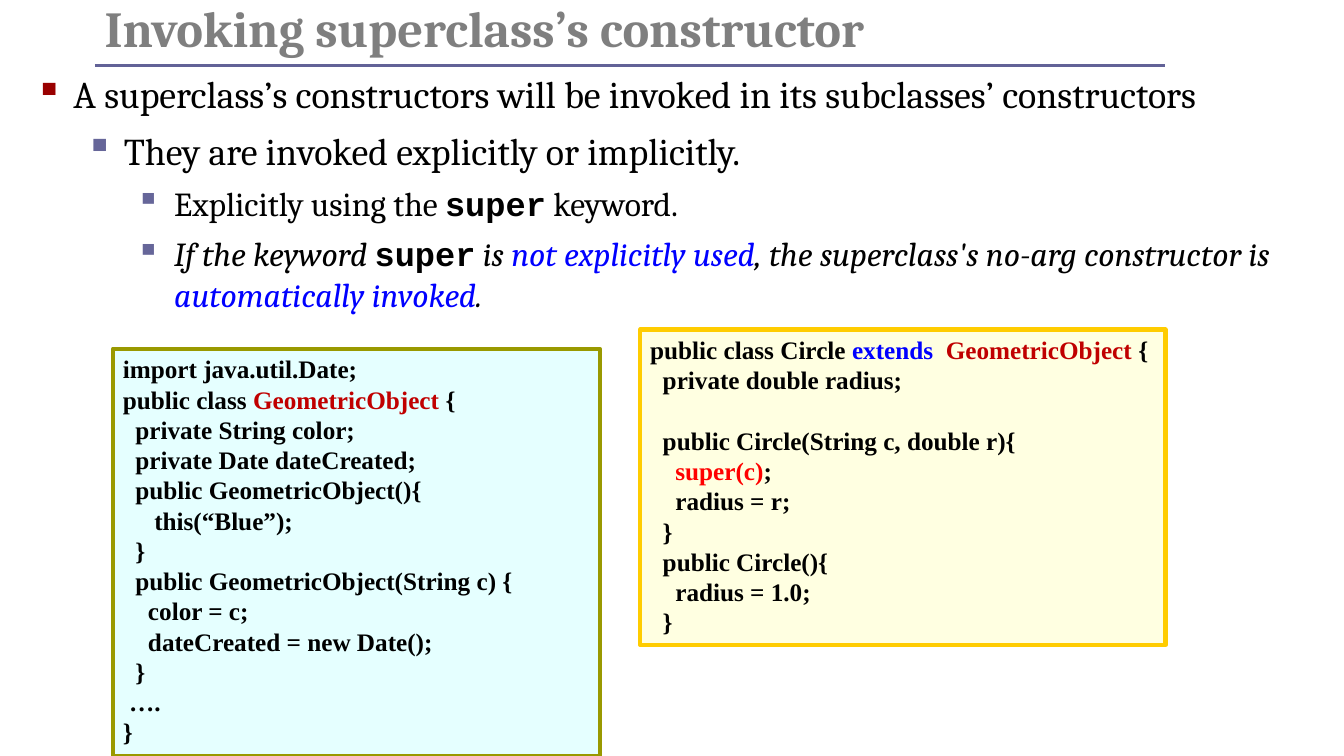
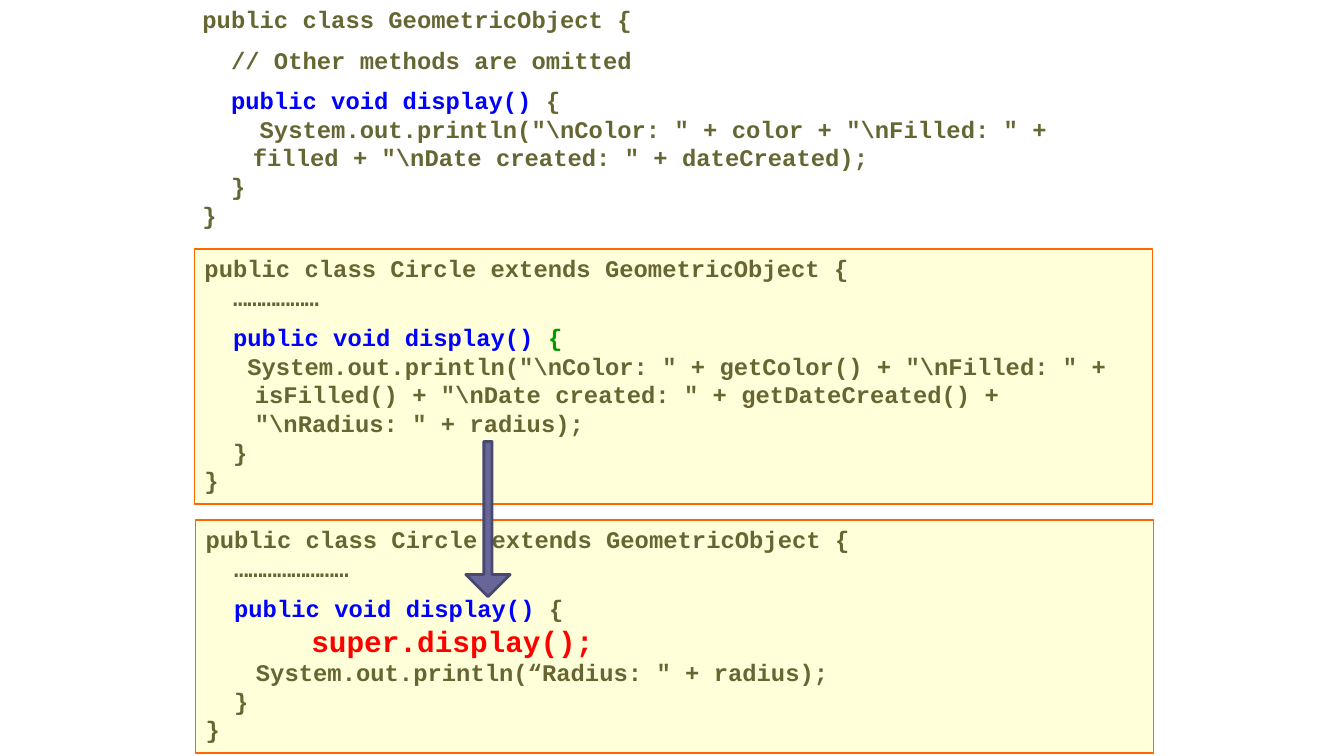
from lxml import etree
from pptx import Presentation
from pptx import util as u
from pptx.dml.color import RGBColor
from pptx.enum import shapes, text
from pptx.oxml.ns import qn

COLORS = {
    "black": "000000", "white": "FFFFFF", "title": "7F7F7F", "rule": "626297",
    "bullet_top": "990000", "bullet_sub": "666699", "blue": "0000FF",
    "crimson": "C00000", "red": "FF0000", "green": "009900", "olive": "666633",
    "mint": "E5FFFF", "moss": "999900", "ivory": "FFFFE1", "gold": "FFCC00",
    "cream": "FFFFD9", "orange": "FF6600", "arrow": "666699", "arrow_edge": "49496F",
}
TITLE = {"name": "Cambria", "size": 36, "bold": True, "color": "title"}
BODY = {"name": "Cambria", "size": 27, "bold": False, "color": "black"}
DETAIL = {**BODY, "size": 24}
KEYWORD = {"name": "Courier New", "bold": True, "italic": False}
JAVA = {"name": "Times New Roman", "size": 18, "bold": True, "color": "black"}
LISTING = {"name": "Courier New", "size": 17, "bold": True, "color": "olive"}
FRAME = {"word_wrap": True, "auto_size": text.MSO_AUTO_SIZE.NONE,
         "vertical_anchor": text.MSO_ANCHOR.TOP}
LEVELS = [(BODY, "bullet_top", 0), (BODY, "bullet_sub", 8.1), (DETAIL, "bullet_sub", 7.2)]
BULLET_INDENT = 0.38
LEVEL_STEP = 0.5
LISTING_GAP = 8.5
JAVA_BLANK_LINE = 21.6


def rgb(color):
    return RGBColor.from_string(COLORS[color])


def apply(target, values):
    for attribute, value in values.items():
        setattr(target, attribute, value)


def inches(*lengths):
    return [u.Inches(length) for length in lengths]


def add_runs(paragraph, runs, base):
    for part in [runs] if isinstance(runs, str) else runs:
        words, changes = (part, {}) if isinstance(part, str) else part
        style = {**base, **changes}
        run = paragraph.add_run()
        run.text = words
        run.font.color.rgb = rgb(style.pop("color"))
        style["size"] = u.Pt(style["size"])
        apply(run.font, style)


def paragraphs(frame, count):
    yield frame.paragraphs[0]
    for _ in range(count - 1):
        yield frame.add_paragraph()


def set_bullet(paragraph, level, color):
    properties = paragraph._p.get_or_add_pPr()
    properties.set("marL", str(u.Inches(BULLET_INDENT + LEVEL_STEP * level)))
    properties.set("indent", str(-u.Inches(BULLET_INDENT)))
    bullet_color = etree.SubElement(properties, qn("a:buClr"))
    etree.SubElement(bullet_color, qn("a:srgbClr")).set("val", COLORS[color])
    etree.SubElement(properties, qn("a:buChar")).set("char", "▪")


def add_title(slide, words):
    frame = slide.shapes.add_textbox(*inches(0.94, 0, 9.27, 0.65)).text_frame
    apply(frame, {**FRAME, "vertical_anchor": text.MSO_ANCHOR.MIDDLE})
    frame.paragraphs[0].line_spacing = 0.8
    add_runs(frame.paragraphs[0], words, TITLE)


def add_title_rule(slide):
    rule = slide.shapes.add_connector(
        shapes.MSO_CONNECTOR.STRAIGHT, *inches(0.94, 0.65, 11.55, 0.65))
    rule.line.color.rgb = rgb("rule")
    rule.line.width = u.Pt(2.25)
    etree.SubElement(rule._element.spPr, qn("a:effectLst"))


def add_outline(slide, items):
    frame = slide.shapes.add_textbox(*inches(0.25, 0.65, 12.5, 2.62)).text_frame
    apply(frame, FRAME)
    for paragraph, (level, runs) in zip(paragraphs(frame, len(items)), items):
        style, color, gap = LEVELS[level]
        set_bullet(paragraph, level, color)
        apply(paragraph, {"level": level, "space_before": u.Pt(gap)})
        add_runs(paragraph, runs, style)


def add_block(slide, preset, place, fill, edge=None, width=1):
    block = slide.shapes.add_shape(preset, *inches(*place))
    block.shadow.inherit = False
    block.fill.solid()
    block.fill.fore_color.rgb = rgb(fill)
    if edge:
        block.line.color.rgb = rgb(edge)
        block.line.width = u.Pt(width)
    else:
        block.line.fill.background()
    return block


def add_code(slide, place, look, style, lines, gaps=None):
    frame = add_block(slide, shapes.MSO_SHAPE.RECTANGLE, place, *look).text_frame
    apply(frame, FRAME)
    for index, paragraph in enumerate(paragraphs(frame, len(lines))):
        apply(paragraph, {"alignment": text.PP_ALIGN.LEFT,
                          "space_before": u.Pt((gaps or {}).get(index, 0))})
        add_runs(paragraph, lines[index], style)


def tint(words, color, **changes):
    return words, {"color": color, **changes}


def slanted(words, color="black"):
    return tint(words, color, italic=True)


def display_header(brace_color="olive"):
    return ["  ", tint("public void display() ", "blue"), tint("{", brace_color)]


def build_constructor_slide(slide):
    add_title(slide, "Invoking superclass’s constructor")
    add_outline(slide, [
        (0, "A superclass’s constructors will be invoked in its subclasses’ constructors"),
        (1, "They are invoked explicitly or implicitly."),
        (2, ["Explicitly using the ", ("super", KEYWORD), " keyword."]),
        (2, [slanted("If the keyword "), ("super", KEYWORD), slanted(" is "),
             slanted("not explicitly used", "blue"),
             slanted(", the superclass's no-arg constructor is "),
             slanted("automatically invoked", "blue"), slanted(".")]),
    ])
    add_code(slide, (1.12, 3.46, 4.83, 4.04), ("mint", "moss", 3), JAVA, [
        "import java.util.Date;",
        ["public class ", tint("GeometricObject", "crimson"), " {"],
        "  private String color;",
        "  private Date dateCreated;",
        "  public GeometricObject(){",
        "     this(“Blue”);",
        "  }",
        "  public GeometricObject(String c) {",
        "    color = c;",
        "    dateCreated = new Date();",
        "  }",
        " ….",
        "}",
    ])
    add_code(slide, (6.35, 3.27, 5.21, 3.13), ("ivory", "gold", 3), JAVA, [
        ["public class Circle ", tint("extends", "blue"),
         tint("  GeometricObject ", "crimson"), "{"],
        "  private double radius;",
        "  public Circle(String c, double r){",
        ["    ", tint("super(c)", "red"), ";"],
        "    radius = r;",
        "  }",
        "  public Circle(){",
        "    radius = 1.0;",
        "  }",
    ], {2: JAVA_BLANK_LINE})
    add_title_rule(slide)


def build_display_slide(slide):
    circle_header = "public class Circle extends GeometricObject {"
    closing = ["  }", "}"]
    circle_look = ("cream", "orange")
    add_code(slide, (1.93, 2.47, 9.5, 2.53), circle_look, LISTING, [
        circle_header,
        "  ………………",
        display_header("green"),
        '   System.out.println("\\nColor: " + getColor() + "\\nFilled: " +',
        ' \tisFilled() + "\\nDate created: " + getDateCreated() +',
        '\t"\\nRadius: " + radius);',
        *closing,
    ], {2: LISTING_GAP})
    add_code(slide, (1.91, 0, 9.5, 2.39), ("white",), LISTING, [
        "public class GeometricObject {",
        "  // Other methods are omitted",
        display_header(),
        '    System.out.println("\\nColor: " + color + "\\nFilled: " +',
        '\tfilled + "\\nDate created: " + dateCreated);',
        *closing,
    ], {1: LISTING_GAP, 2: LISTING_GAP})
    add_code(slide, (1.94, 5.16, 9.5, 2.31), circle_look, LISTING, [
        circle_header,
        "  ……………………",
        display_header(),
        [tint("      super.display();", "red", size=21)],
        '\tSystem.out.println(“Radius: " + radius);',
        *closing,
    ], {2: LISTING_GAP})
    arrow = add_block(slide, shapes.MSO_SHAPE.DOWN_ARROW, (4.62, 4.38, 0.44, 1.54),
                      "arrow", "arrow_edge", 2)
    arrow.adjustments[0] = 0.185
    arrow.adjustments[1] = 0.5


def main():
    deck = Presentation()
    apply(deck, {"slide_width": u.Inches(13.33), "slide_height": u.Inches(7.5)})
    for build in (build_constructor_slide, build_display_slide):
        build(deck.slides.add_slide(deck.slide_layouts[6]))
    deck.save("out.pptx")


if __name__ == "__main__":
    main()
